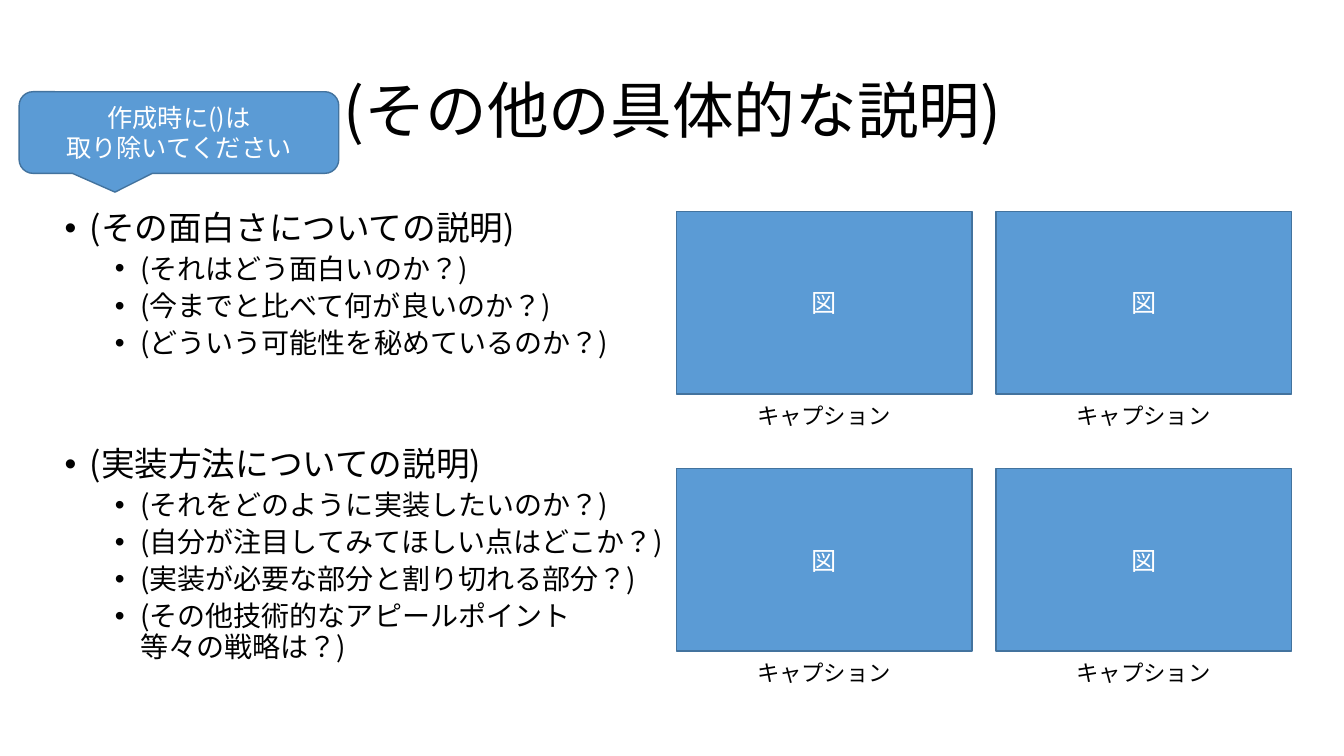
import itertools
from dataclasses import dataclass

import lxml.etree
import pptx
import pptx.dml.color
import pptx.enum.lang
import pptx.enum.shapes
import pptx.enum.text
import pptx.oxml.ns
import pptx.util

Inches = pptx.util.Inches
Pt = pptx.util.Pt
qn = pptx.oxml.ns.qn
ALIGN = pptx.enum.text.PP_ALIGN
ANCHOR = pptx.enum.text.MSO_ANCHOR
AUTO_SIZE = pptx.enum.text.MSO_AUTO_SIZE
SHAPE = pptx.enum.shapes.MSO_SHAPE

FONT = "Noto Sans CJK JP"
BLACK, WHITE, BLUE, DARK_BLUE = "000000", "FFFFFF", "5B9BD5", "43739E"


@dataclass
class Frame:
    """Position and size in inches."""
    left: float
    top: float
    width: float
    height: float

    def lengths(self) -> list:
        """Return the four values as lengths."""
        return [Inches(v) for v in (self.left, self.top, self.width, self.height)]


@dataclass
class Bullet:
    """One line of the body list."""
    text: str
    level: int = 1
    before: float = 5


TITLE_FRAME = Frame(0.92, 0.4, 11.5, 1.45)
BODY_FRAME = Frame(0.54, 2.05, 6.17, 5.04)
CALLOUT_FRAME = Frame(0.19, 0.91, 3.17, 0.81)
FIGURE_LEFTS, FIGURE_TOPS = (6.71, 9.88), (2.1, 4.65)
FIGURE_WIDTH, FIGURE_HEIGHT = 2.93, 1.81

BULLETS = [
    Bullet("(その面白さについての説明)", 0, 10),
    Bullet("(それはどう面白いのか?)".replace("?", "？")),
    Bullet("(今までと比べて何が良いのか？)"),
    Bullet("(どういう可能性を秘めているのか？)"),
    Bullet("(実装方法についての説明)", 0, 63),
    Bullet("(それをどのように実装したいのか？)"),
    Bullet("(自分が注目してみてほしい点はどこか？)"),
    Bullet("(実装が必要な部分と割り切れる部分？)"),
    Bullet("(その他技術的なアピールポイント\v等々の戦略は？)"),
]
LEVEL_SIZES = (24, 20)
LEVEL_MARGINS = (0.25, 0.75)


def rgb(value: str) -> pptx.dml.color.RGBColor:
    """Turn a hex string into a colour."""
    return pptx.dml.color.RGBColor.from_string(value)


def apply(target, values: dict) -> None:
    """Set every attribute named in values."""
    for name, value in values.items():
        setattr(target, name, value)


def write(para, text: str, size: float, color: str, **formats) -> None:
    """Fill a paragraph with formatted text."""
    para.text = text
    apply(para, formats)
    for span in para.runs:
        apply(span.font, {"size": Pt(size), "name": FONT,
                          "language_id": pptx.enum.lang.MSO_LANGUAGE_ID.JAPANESE})
        span.font.color.rgb = rgb(color)
        lxml.etree.SubElement(span.font._element, qn("a:ea"), typeface=FONT)
    for line_break in para._p.findall(qn("a:br")):
        lxml.etree.SubElement(line_break, qn("a:rPr"), sz=str(size * 100))


def place(shape, frame: Frame) -> None:
    """Move and size a placeholder."""
    apply(shape, dict(zip(("left", "top", "width", "height"), frame.lengths())))


def add_bullet_mark(para, margin: float) -> None:
    """Give a paragraph a round bullet with a hanging indent."""
    properties = para._p.get_or_add_pPr()
    properties.set("marL", str(Inches(margin)))
    properties.set("indent", str(Inches(-0.25)))
    lxml.etree.SubElement(properties, qn("a:buFont"), typeface="Arial")
    lxml.etree.SubElement(properties, qn("a:buChar"), char="•")


def fill_title(title) -> None:
    """Write the slide title."""
    place(title, TITLE_FRAME)
    apply(title.text_frame, {"vertical_anchor": ANCHOR.MIDDLE,
                             "auto_size": AUTO_SIZE.NONE})
    write(title.text_frame.paragraphs[0], "(その他の具体的な説明)", 44, BLACK,
          alignment=ALIGN.CENTER, line_spacing=0.9)


def fill_body(body) -> None:
    """Write the two-level list."""
    place(body, BODY_FRAME)
    frame = body.text_frame
    apply(frame, {"vertical_anchor": ANCHOR.TOP, "auto_size": AUTO_SIZE.NONE})
    for index, bullet in enumerate(BULLETS):
        para = frame.add_paragraph() if index else frame.paragraphs[0]
        write(para, bullet.text, LEVEL_SIZES[bullet.level], BLACK,
              level=bullet.level, line_spacing=0.9, space_before=Pt(bullet.before))
        add_bullet_mark(para, LEVEL_MARGINS[bullet.level])


def add_panel(page, kind, frame: Frame, lines: list[str]):
    """Draw a blue shape with centred white lines."""
    panel = page.shapes.add_shape(kind, *frame.lengths())
    panel.shadow.inherit = False
    panel.fill.solid()
    panel.fill.fore_color.rgb = rgb(BLUE)
    panel.line.color.rgb = rgb(DARK_BLUE)
    panel.line.width = Pt(1)
    apply(panel.text_frame, {"vertical_anchor": ANCHOR.MIDDLE, "word_wrap": True})
    for index, line in enumerate(lines):
        text = panel.text_frame
        para = text.add_paragraph() if index else text.paragraphs[0]
        write(para, line, 18, WHITE, alignment=ALIGN.CENTER)
    return panel


def add_figure(page, left: float, top: float) -> None:
    """Draw a figure panel with its caption below."""
    add_panel(page, SHAPE.RECTANGLE,
              Frame(left, top, FIGURE_WIDTH, FIGURE_HEIGHT), ["図"])
    caption = Frame(left + 0.7, top + FIGURE_HEIGHT + 0.03, 1.55, 0.37)
    box = page.shapes.add_textbox(*caption.lengths())
    apply(box.text_frame, {"word_wrap": False, "auto_size": AUTO_SIZE.SHAPE_TO_FIT_TEXT})
    write(box.text_frame.paragraphs[0], "キャプション", 16, BLACK)


def main() -> None:
    """Build and save the slide."""
    deck = pptx.Presentation()
    apply(deck, {"slide_width": Inches(13.33), "slide_height": Inches(7.5)})
    page = deck.slides.add_slide(deck.slide_layouts[1])
    fill_title(page.shapes.title)
    fill_body(page.placeholders[1])
    for top, left in itertools.product(FIGURE_TOPS, FIGURE_LEFTS):
        add_figure(page, left, top)
    callout = add_panel(page, SHAPE.ROUNDED_RECTANGULAR_CALLOUT, CALLOUT_FRAME,
                        ["作成時に()は", "取り除いてください"])
    for index, value in enumerate((-0.2, 0.73, 0.17)):
        callout.adjustments[index] = value
    deck.save("out.pptx")


main()
